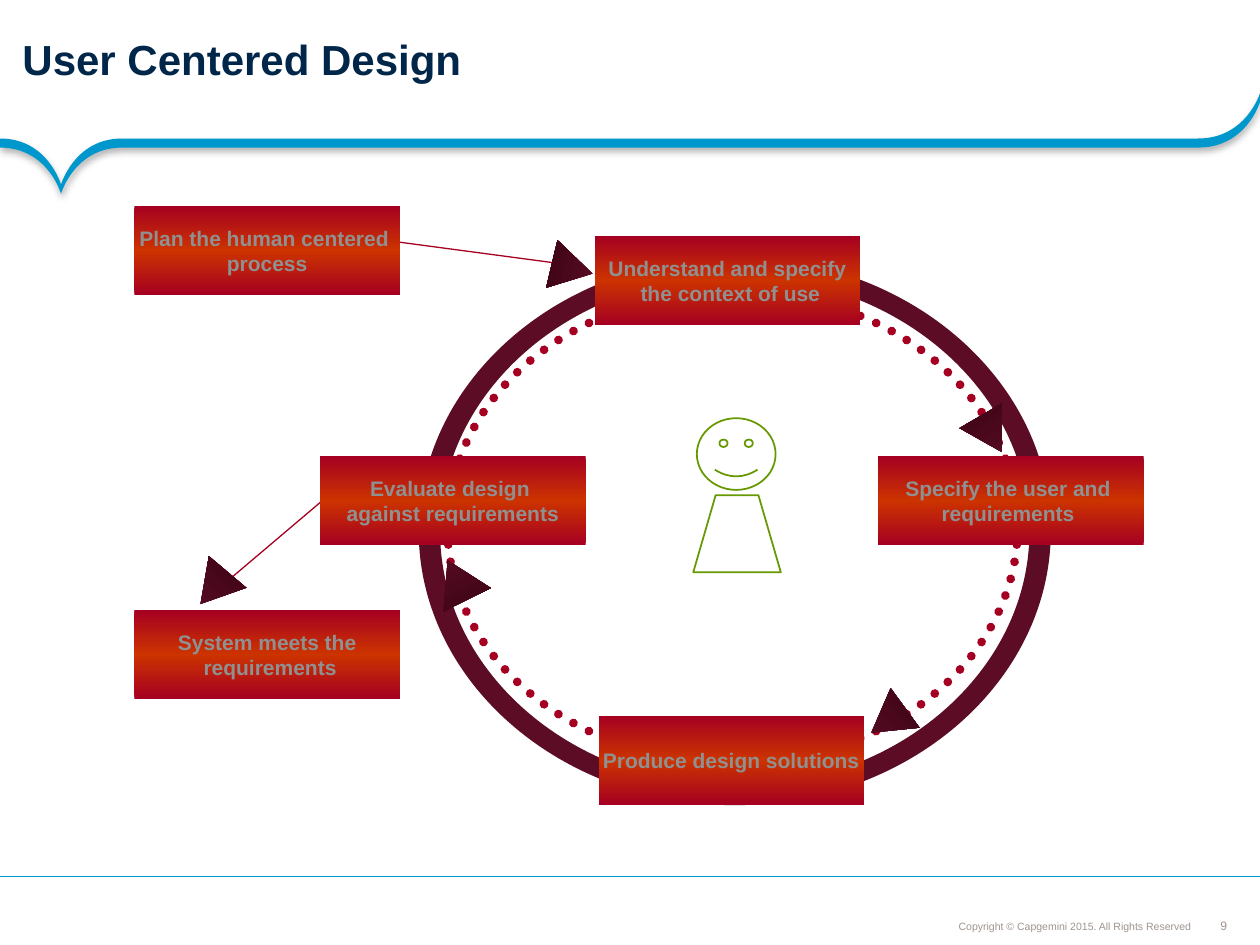
import copy

import lxml.etree
import pptx
import pptx.dml.color
import pptx.enum.dml
import pptx.enum.shapes
import pptx.enum.text
import pptx.oxml
import pptx.oxml.ns
import pptx.util

Pt = pptx.util.Pt
qn = pptx.oxml.ns.qn
SHAPE = pptx.enum.shapes.MSO_SHAPE
ALIGN = pptx.enum.text.PP_ALIGN
ANCHOR = pptx.enum.text.MSO_ANCHOR

BLUE, NAVY, GREY = "0098CC", "00264A", "9F958F"
RED, GREEN, WINE = "A50021", "669900", "5C0D25"
STEP_GRADIENT = (RED, "CC3300", RED)
HEAD_GRADIENT = (WINE, "3C0415")
STEP_SIZE = (151.8, 50.8)

STEPS = [
    (76.8, 117.7, "Plan the human centered \nprocess"),
    (339.8, 134.8, "Understand and specify\n the context of use"),
    (182.9, 260.7, "Evaluate design \nagainst requirements"),
    (501.8, 260.7, "Specify the user and \nrequirements "),
    (342, 409, "Produce design solutions"),
    (76.8, 348.5, "System meets the\n requirements"),
]
ARROWHEADS = [
    (313, 141.6, 28, 24, 103.4),
    (108.3, 324, 28, 24, 220.2),
    (246.3, 318.8, 30.2, 25.2, 333.7),
    (493.5, 399.6, 28, 24, 233.8),
    (552.4, 236, 28, 24, 149.8),
]


def color(value):
    """Turn a hex string into a colour."""
    return pptx.dml.color.RGBColor.from_string(value)


def paint_gradient(shape, colors):
    """Fill a shape from top to bottom with evenly spaced colours."""
    shape.fill.gradient()
    shape.fill.gradient_angle = 270
    stop_list = shape._element.spPr.find(".//" + qn("a:gsLst"))
    while len(stop_list) < len(colors):
        stop_list.append(copy.deepcopy(stop_list[-1]))
    for index, (stop, value) in enumerate(zip(shape.fill.gradient_stops, colors)):
        stop.position = index / (len(colors) - 1)
        stop.color.rgb = color(value)


def paint_plain(shape, fill=None, outline=None, weight=1):
    """Give a shape an optional plain fill and outline, and no shadow."""
    shape.shadow.inherit = False
    if fill:
        shape.fill.solid()
        shape.fill.fore_color.rgb = color(fill)
    else:
        shape.fill.background()
    if outline:
        shape.line.color.rgb = color(outline)
        shape.line.width = Pt(weight)
    else:
        shape.line.fill.background()


def add_figure(slide, preset, left, top, width, height, **paint):
    """Add a plainly painted preset shape."""
    figure = slide.shapes.add_shape(preset, Pt(left), Pt(top), Pt(width), Pt(height))
    paint_plain(figure, **paint)
    return figure


def add_curved(slide, contours, fill):
    """Add a filled outline whose contours are a start and triples of curve points."""
    contours = [[(Pt(x), Pt(y)) for x, y in contour] for contour in contours]
    builder = slide.shapes.build_freeform(*contours[0][0])
    for index, (start, *rest) in enumerate(contours):
        if index:
            builder.move_to(*start)
        builder.add_line_segments(rest, close=True)
    figure = builder.convert_to_shape()
    segments = list(figure._element.iter(qn("a:lnTo")))
    for first in range(0, len(segments), 3):
        bend = lxml.etree.Element(qn("a:cubicBezTo"))
        segments[first].addprevious(bend)
        for segment in segments[first:first + 3]:
            bend.append(segment[0])
            segment.getparent().remove(segment)
    paint_plain(figure, fill)
    return figure


def write(frame, text, size, font_color, align, anchor, bold=False, spacing=None):
    """Write one paragraph per line of text in a single style."""
    frame.text = text
    frame.vertical_anchor = anchor
    for paragraph in frame.paragraphs:
        paragraph.alignment = align
        paragraph.line_spacing = spacing
        paragraph.font.name = "Arial"
        paragraph.font.size = Pt(size)
        paragraph.font.bold = bold
        paragraph.font.color.rgb = color(font_color)


def add_step(slide, left, top, text):
    """Add one step box of the process."""
    step = add_figure(slide, SHAPE.RECTANGLE, left, top, *STEP_SIZE)
    paint_gradient(step, STEP_GRADIENT)
    write(step.text_frame, text, 12, "909090", ALIGN.CENTER, ANCHOR.MIDDLE, bold=True)
    step.text_frame.word_wrap = False


def add_arrowhead(slide, left, top, width, height, angle):
    """Add a turned triangle that shows a direction."""
    head = add_figure(slide, SHAPE.FLOWCHART_EXTRACT, left, top, width, height)
    paint_gradient(head, HEAD_GRADIENT)
    head.rotation = angle


def add_rule(slide, start, end, line_color):
    """Add a thin straight line."""
    rule = slide.shapes.add_connector(
        pptx.enum.shapes.MSO_CONNECTOR.STRAIGHT, *map(Pt, start + end))
    rule.line.color.rgb = color(line_color)
    rule.line.width = Pt(0.75)
    lxml.etree.SubElement(rule._element.spPr, qn("a:effectLst"))


def add_label(slide, left, top, width, height, text, size, align, anchor, inset, wrap, spacing=None):
    """Add a grey footer text."""
    frame = slide.shapes.add_textbox(Pt(left), Pt(top), Pt(width), Pt(height)).text_frame
    frame.margin_left = frame.margin_right = frame.margin_top = frame.margin_bottom = Pt(inset)
    frame.word_wrap = wrap
    write(frame, text, size, GREY, align, anchor, spacing=spacing)


def add_wave(slide):
    """Add the curved blue band under the title."""
    level, tip, corner = 79.2, (34.9, 105.6), (720, 53.3)
    bend_end, rise_start = (69.8, level), (684.7, level)
    upper = [(0, level), (27.4, level), tip, tip, tip, (42.5, level), bend_end,
             bend_end, rise_start, rise_start, (712.1, level), corner, corner]
    lower = [(x, y + 5.2) for x, y in reversed(upper)]
    wave = add_curved(slide, [upper + [corner, lower[0]] + lower], BLUE)
    lxml.etree.SubElement(wave._element.spPr, qn("a:effectLst")).append(pptx.oxml.parse_xml(
        f'<a:outerShdw {pptx.oxml.ns.nsdecls("a")} blurRad="{Pt(4)}" dist="{Pt(2)}" '
        'dir="5400000" rotWithShape="0">'
        '<a:srgbClr val="000000"><a:alpha val="31000"/></a:srgbClr></a:outerShdw>'))
    empty_effects, shadow_effects = wave._element.spPr.findall(qn("a:effectLst"))
    wave._element.spPr.replace(empty_effects, shadow_effects)


def add_title(slide, text):
    """Place and format the slide title."""
    title = slide.shapes.title
    title.left, title.top, title.width, title.height = map(Pt, (5.6, 7.9, 686.2, 56.2))
    title.text_frame.auto_size = pptx.enum.text.MSO_AUTO_SIZE.NONE
    write(title.text_frame, text, 24, NAVY, ALIGN.LEFT, ANCHOR.MIDDLE, bold=True, spacing=0.8)


def oval(center_x, center_y, radius_x, radius_y):
    """List the curve points of an ellipse."""
    pull = 0.55
    unit = [(-1, 0), (-1, -pull), (-pull, -1), (0, -1), (pull, -1), (1, -pull), (1, 0),
            (1, pull), (pull, 1), (0, 1), (-pull, 1), (-1, pull), (-1, 0)]
    return [(center_x + x * radius_x, center_y + y * radius_y) for x, y in unit]


def add_cycle(slide):
    """Add the dotted ring and the solid ring around it."""
    dots = add_figure(slide, SHAPE.OVAL, 255.7, 166.2, 325.8, 270, outline=RED, weight=5)
    dots.line.dash_style = pptx.enum.dml.MSO_LINE.ROUND_DOT
    dots._element.spPr.get_or_add_ln().set("cap", "rnd")
    center = (419.9, 303.5)
    add_curved(slide, [oval(*center, 180.6, 156.6), oval(*center, 168.4, 145.8)[::-1]], WINE)


def add_user(slide):
    """Add the smiling user in the middle of the cycle."""
    add_figure(slide, SHAPE.SMILEY_FACE, 398.2, 239, 45, 41, outline=GREEN)
    body = add_figure(slide, SHAPE.TRAPEZOID, 396.2, 283, 50, 44, outline=GREEN)
    body.adjustments[0] = 0.29


def main():
    """Build the slide and save it."""
    deck = pptx.Presentation()
    deck.slide_width, deck.slide_height = Pt(720), Pt(540)
    slide = deck.slides.add_slide(deck.slide_layouts[5])
    add_label(slide, 695, 524.6, 8.6, 8.6, "9", 7, ALIGN.CENTER, ANCHOR.MIDDLE, 0, False)
    add_wave(slide)
    add_label(slide, 489.8, 521.3, 193.7, 14.4, "Copyright © Capgemini 2015. All Rights Reserved",
              6, ALIGN.RIGHT, ANCHOR.BOTTOM, 2.9, True, spacing=0.9)
    add_rule(slide, (720, 500.9), (0, 500.9), BLUE)
    add_title(slide, "User Centered Design")
    add_cycle(slide)
    add_rule(slide, (226.8, 138.2), (334.8, 152.6), RED)
    add_rule(slide, (183.6, 286.6), (117.4, 342.7), RED)
    add_user(slide)
    for step in STEPS:
        add_step(slide, *step)
    for head in ARROWHEADS:
        add_arrowhead(slide, *head)
    deck.save("out.pptx")


if __name__ == "__main__":
    main()
